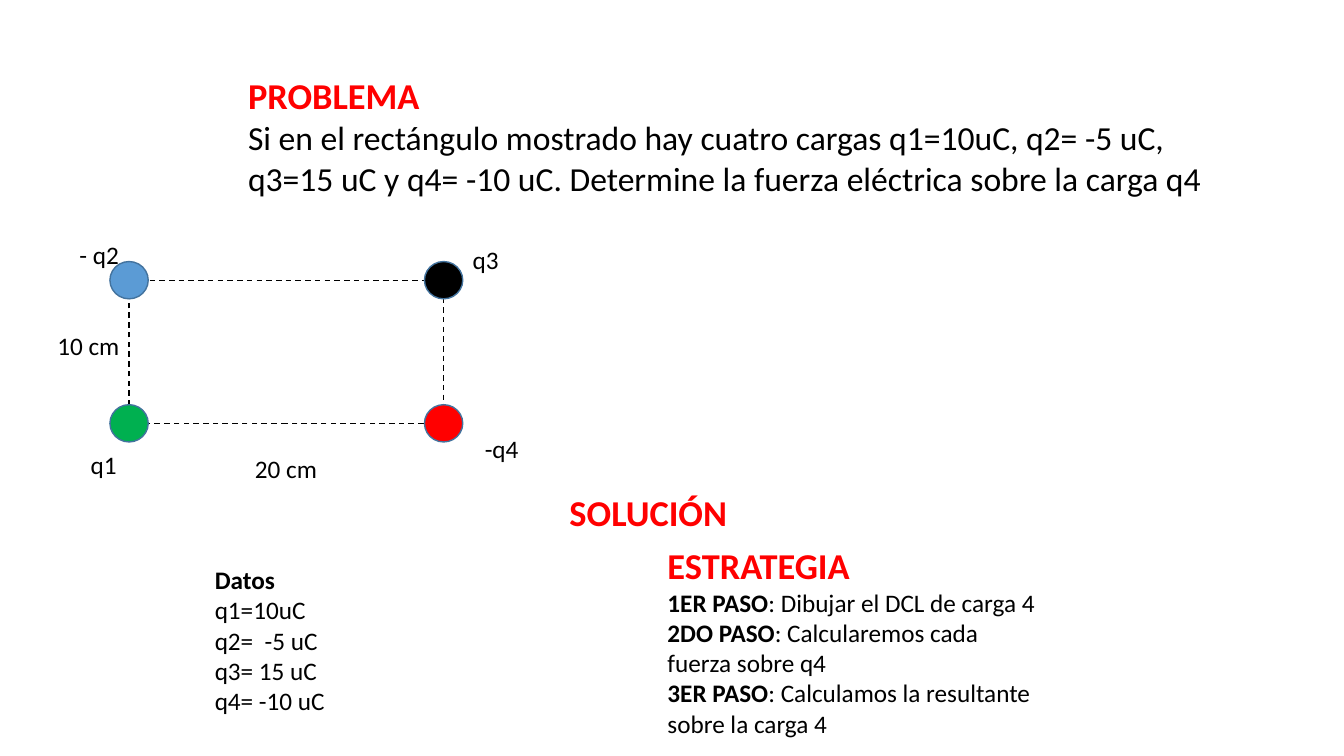
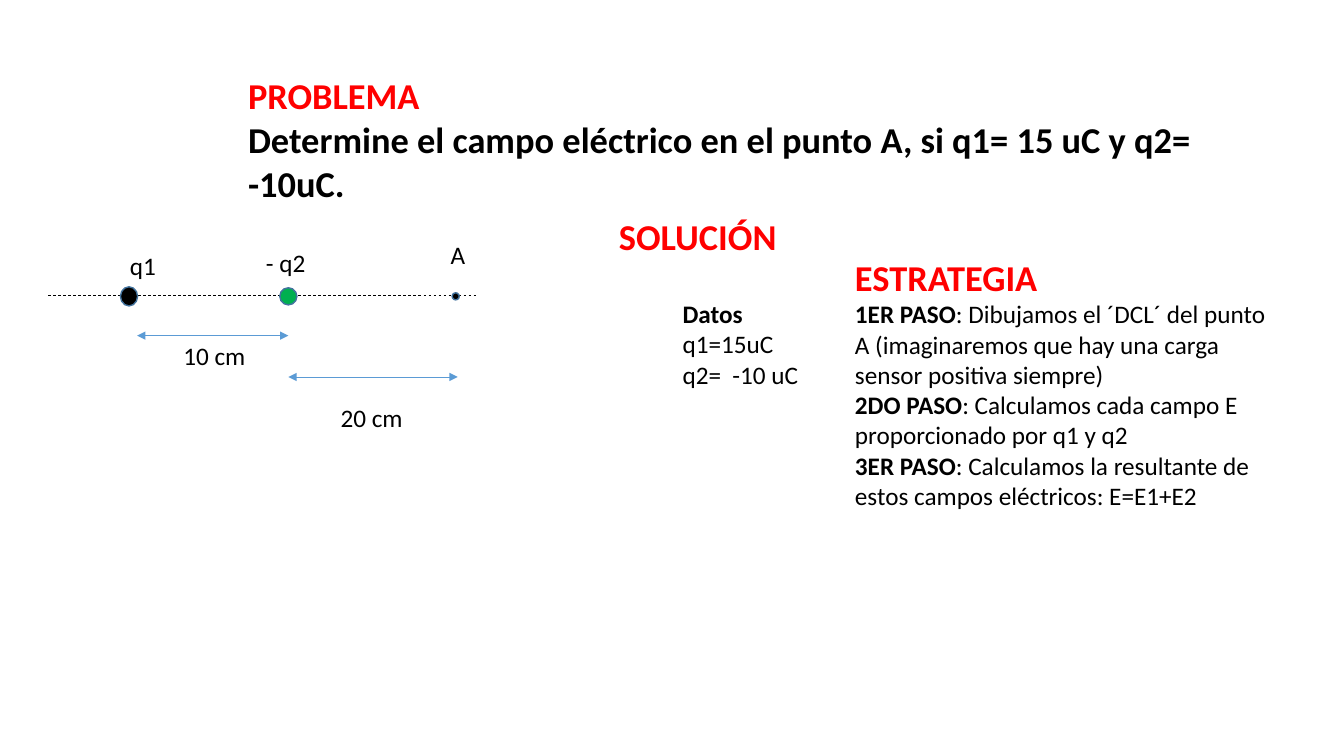
from lxml import etree
from pptx import Presentation
from pptx.dml.color import RGBColor
from pptx.enum.dml import MSO_LINE_DASH_STYLE as Dash
from pptx.enum.shapes import MSO_CONNECTOR as Connector, MSO_SHAPE as Preset
from pptx.enum.text import MSO_ANCHOR as Anchor, MSO_AUTO_SIZE as AutoSize, PP_ALIGN as Align
from pptx.oxml.ns import qn
from pptx.util import Inches, Pt

FONT = "Calibri"
RED = RGBColor(0xFF, 0x00, 0x00)
BLACK = RGBColor(0x00, 0x00, 0x00)
BLUE = RGBColor(0x5B, 0x9B, 0xD5)
DARK_BLUE = RGBColor(0x43, 0x73, 0x9E)
GREEN = RGBColor(0x00, 0xB0, 0x50)

HEADING_SIZE = 26
TEXT_SIZE = 18
TWO_CONTENT_LAYOUT = 3


def place(shape, left, top, width, height):
    shape.left, shape.top = Inches(left), Inches(top)
    shape.width, shape.height = Inches(width), Inches(height)


def format_paragraph(paragraph, size=TEXT_SIZE, color=BLACK, bold=False):
    paragraph.alignment = Align.LEFT
    paragraph.space_before = Pt(0)
    font = paragraph.font
    font.name, font.size, font.bold = FONT, Pt(size), bold
    font.color.rgb = color


def remove_bullet(paragraph):
    properties = paragraph._p.get_or_add_pPr()
    properties.set("marL", "0")
    properties.set("indent", "0")
    etree.SubElement(properties, qn("a:buNone"))


def prepare_frame(shape, wrap=True):
    frame = shape.text_frame
    frame.word_wrap = wrap
    frame.auto_size = AutoSize.NONE
    frame.vertical_anchor = Anchor.TOP
    return frame


def fill_title(slide, statement, height, size, bold):
    title = slide.shapes.title
    place(title, 2.36, 0.68, 9.93, height)
    frame = prepare_frame(title)
    heading, body = frame.paragraphs[0], frame.add_paragraph()
    heading.text, body.text = "PROBLEMA", statement
    format_paragraph(heading, HEADING_SIZE, RED, True)
    format_paragraph(body, size, bold=bold)


def fill_list(placeholder, position, heading, lines, **heading_format):
    """Write a heading and lines; a line given as a pair has a bold label."""
    place(placeholder, *position)
    frame = prepare_frame(placeholder)
    first = frame.paragraphs[0]
    first.text = heading
    format_paragraph(first, bold=True, **heading_format)
    remove_bullet(first)
    for line in lines:
        paragraph = frame.add_paragraph()
        format_paragraph(paragraph)
        remove_bullet(paragraph)
        if isinstance(line, str):
            paragraph.text = line
        else:
            label, explanation = line
            paragraph.add_run().text = label
            paragraph.runs[0].font.bold = True
            paragraph.add_run().text = f": {explanation}"


def fill_solution(slide, data, data_position, steps, steps_position):
    data_list, strategy_list = slide.placeholders[1], slide.placeholders[2]
    fill_list(data_list, data_position, "Datos", data)
    ordinals = ("1ER PASO", "2DO PASO", "3ER PASO")
    fill_list(strategy_list, steps_position, "ESTRATEGIA",
              zip(ordinals, steps), size=HEADING_SIZE, color=RED)


def add_text(slide, text, left, top, width, height=0.4, wrap=False, **text_format):
    box = slide.shapes.add_textbox(0, 0, 0, 0)
    place(box, left, top, width, height)
    paragraph = prepare_frame(box, wrap).paragraphs[0]
    paragraph.text = text
    format_paragraph(paragraph, **text_format)


def add_solution_heading(slide, left, top):
    add_text(slide, "SOLUCIÓN", left, top, 2.24, 0.54, wrap=True,
             size=HEADING_SIZE, color=RED, bold=True)


def add_charge(slide, center_x, center_y, width, height, color):
    charge = slide.shapes.add_shape(
        Preset.OVAL, Inches(center_x - width / 2), Inches(center_y - height / 2),
        Inches(width), Inches(height))
    charge.shadow.inherit = False
    charge.fill.solid()
    charge.fill.fore_color.rgb = color
    charge.line.color.rgb = DARK_BLUE
    charge.line.width = Pt(1)


def add_dashed_rectangle(slide, left, top, width, height):
    rectangle = slide.shapes.add_shape(
        Preset.RECTANGLE, Inches(left), Inches(top), Inches(width), Inches(height))
    rectangle.shadow.inherit = False
    rectangle.fill.background()
    rectangle.line.color.rgb = BLACK
    rectangle.line.width = Pt(1)
    rectangle.line.dash_style = Dash.DASH


def add_horizontal_line(slide, start_x, end_x, y, color):
    connector = slide.shapes.add_connector(
        Connector.STRAIGHT, Inches(start_x), Inches(y), Inches(end_x), Inches(y))
    connector.line.color.rgb = color
    connector.line.width = Pt(0.5)
    etree.SubElement(connector._element.spPr, qn("a:effectLst"))
    return connector


def add_dimension(slide, start_x, end_x, y):
    """Draw a measuring line with an arrowhead at both ends."""
    line = add_horizontal_line(slide, start_x, end_x, y, BLUE).line
    for end in ("a:headEnd", "a:tailEnd"):
        etree.SubElement(line._get_or_add_ln(), qn(end), type="triangle")


def build_force_slide(slide):
    fill_title(slide, "Si en el rectángulo mostrado hay cuatro cargas q1=10uC, q2= -5 uC, "
               "q3=15 uC y q4= -10 uC. Determine la fuerza eléctrica sobre la carga q4",
               1.35, size=24, bold=False)

    left, top, width, height = 1.28, 2.78, 3.12, 1.42
    add_dashed_rectangle(slide, left, top, width, height)
    for column, row, color in ((0, 0, BLUE), (1, 0, BLACK), (1, 1, RED), (0, 1, GREEN)):
        add_charge(slide, left + column * width, top + row * height, 0.38, 0.37, color)
    for label in (("10 cm", 0.47, 3.23, 0.82), ("20 cm", 2.43, 4.45, 0.82),
                  ("q1", 0.8, 4.41, 0.46), ("- q2", 0.69, 2.33, 0.6),
                  ("q3", 4.59, 2.37, 0.46), ("-q4", 4.71, 4.25, 0.54)):
        add_text(slide, *label)

    add_solution_heading(slide, 5.55, 4.81)
    fill_solution(
        slide,
        ("q1=10uC", "q2=  -5 uC", "q3= 15 uC", "q4= -10 uC"), (2.03, 5.55, 2.38, 1.62),
        ("Dibujar el DCL de carga 4",
         "Calcularemos cada fuerza sobre q4",
         "Calculamos la resultante sobre la carga 4"), (6.52, 5.34, 3.86, 2.05))


def build_field_slide(slide):
    fill_title(slide, "Determine el campo eléctrico en el punto A, si q1= 15 uC y q2= -10uC.",
               1.41, size=HEADING_SIZE, bold=True)

    axis_y = 2.93
    add_horizontal_line(slide, 0.48, 4.72, axis_y, BLACK).line.dash_style = Dash.DASH
    for center_x, width, height, color in (
            (1.28, 0.17, 0.19, BLACK), (2.86, 0.17, 0.17, GREEN), (4.52, 0.07, 0.07, BLACK)):
        add_charge(slide, center_x, axis_y + 0.01, width, height, color)
    add_dimension(slide, 1.36, 2.86, 3.33)
    add_dimension(slide, 2.86, 4.54, 3.74)
    for label in (("q1", 1.19, 2.43, 0.46), ("- q2", 2.54, 2.4, 0.6),
                  ("A", 4.37, 2.33, 0.35), ("10 cm", 1.72, 3.33, 0.82),
                  ("20 cm", 3.28, 3.94, 0.82)):
        add_text(slide, *label)

    add_solution_heading(slide, 6.04, 2.08)
    fill_solution(
        slide,
        ("q1=15uC", "q2=  -10 uC"), (6.67, 2.91, 2.38, 1.01),
        ("Dibujamos el ´DCL´ del punto A (imaginaremos que hay una carga "
         "sensor positiva siempre)",
         "Calculamos cada campo E proporcionado por q1 y q2",
         "Calculamos la resultante de estos campos eléctricos: E=E1+E2"),
        (8.38, 2.48, 4.39, 2.66))


def main():
    presentation = Presentation()
    presentation.slide_width, presentation.slide_height = Inches(13.33), Inches(7.5)
    layout = presentation.slide_layouts[TWO_CONTENT_LAYOUT]
    for build in (build_force_slide, build_field_slide):
        build(presentation.slides.add_slide(layout))
    presentation.save("out.pptx")


if __name__ == "__main__":
    main()
